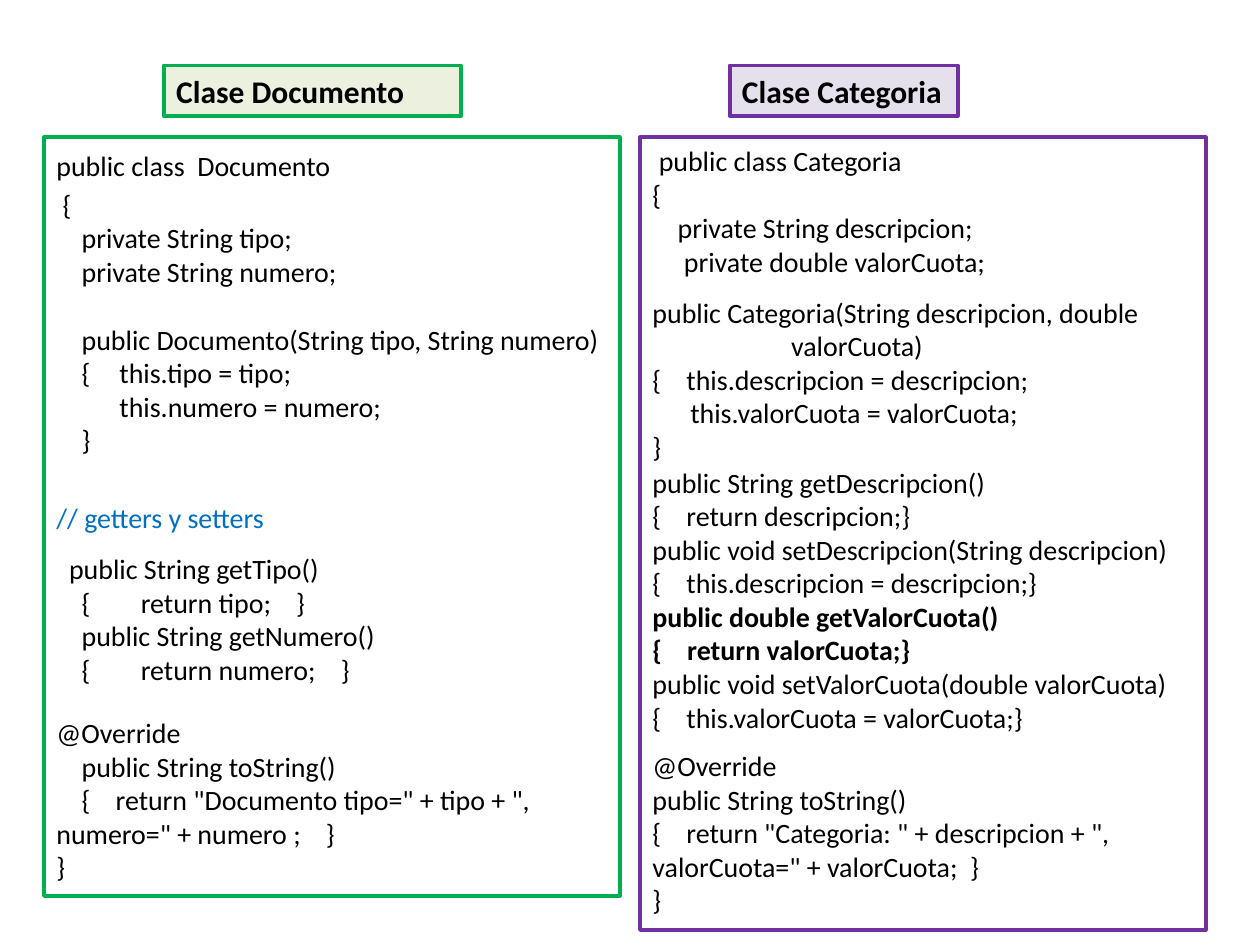
from pptx import Presentation
from pptx.dml.color import RGBColor
from pptx.enum import shapes, text
from pptx.util import Inches, Pt

BLACK = RGBColor(0x00, 0x00, 0x00)
BLUE = RGBColor(0x00, 0x70, 0xC0)
GREEN = RGBColor(0x00, 0xB0, 0x50)
PALE = RGBColor(0xEB, 0xF1, 0xDE)
PURPLE = RGBColor(0x70, 0x30, 0xA0)
LILAC = RGBColor(0xE6, 0xE0, 0xEC)

DOCUMENT = [
    ("""public class  Documento
 {""", {"line": 1.15}),
    ("""    private String tipo;
    private String numero;""", {}),
    ("""    public Documento(String tipo, String numero)
    {\tthis.tipo = tipo;
\tthis.numero = numero;
    }""", {"gap": 19.5}),
    ("// getters y setters", {"gap": 22.5, "line": 1.15, "color": BLUE}),
    ("""  public String getTipo()
    {        return tipo;    }
    public String getNumero()
    {        return numero;    }""", {"gap": 9.8}),
    ("""@Override
    public String toString()
    {    return "Documento tipo=" + tipo + ", numero=" + numero ;    }
}""", {"gap": 17}),
]

CATEGORY = [
    (""" public class Categoria
{
    private String descripcion;
     private double valorCuota;""", {}),
    ("""public Categoria(String descripcion, double
                      valorCuota)
{    this.descripcion = descripcion;
      this.valorCuota = valorCuota;
}""", {"gap": 9.8}),
    ("""public String getDescripcion()
{    return descripcion;}
public void setDescripcion(String descripcion)
{    this.descripcion = descripcion;}""", {"gap": 1.2}),
    ("""public double getValorCuota()
{    return valorCuota;}""", {"bold": True}),
    ("""public void setValorCuota(double valorCuota)
{    this.valorCuota = valorCuota;}""", {}),
    ("""@Override
public String toString()
{    return "Categoria: " + descripcion + ", valorCuota=" + valorCuota;  }
}""", {"gap": 8.5}),
]


def write(frame, words, size=16, color=BLACK, bold=False, gap=0, line=1.0):
    """Append each line of words as a paragraph, with the gap before the first."""
    for row, part in enumerate(words.split("\n")):
        para = frame.add_paragraph() if frame.text else frame.paragraphs[0]
        para.alignment = text.PP_ALIGN.LEFT
        para.line_spacing = line
        para.space_before = Pt(0 if row else gap)
        run = para.add_run()
        run.text = part
        run.font.name = "Calibri"
        run.font.size = Pt(size)
        run.font.bold = bold
        run.font.color.rgb = color


def panel(slide, box, edge, fill=None):
    """Draw an outlined rectangle and return its text frame."""
    shape = slide.shapes.add_shape(
        shapes.MSO_SHAPE.RECTANGLE, *(Inches(side) for side in box))
    shape.shadow.inherit = False
    if fill is None:
        shape.fill.background()
    else:
        shape.fill.solid()
        shape.fill.fore_color.rgb = fill
    shape.line.color.rgb = edge
    shape.line.width = Pt(2.25)
    frame = shape.text_frame
    frame.word_wrap = True
    frame.vertical_anchor = text.MSO_ANCHOR.TOP
    return frame


def heading(slide, box, name, edge, fill):
    """Place the filled label that names a class."""
    write(panel(slide, box, edge, fill), name, size=18, bold=True)


def listing(slide, box, blocks, edge):
    """Place the code of a class in its frame."""
    frame = panel(slide, box, edge)
    for words, style in blocks:
        write(frame, words, **style)


def main():
    """Build the slide and save it."""
    deck = Presentation()
    deck.slide_width, deck.slide_height = Inches(10), Inches(7.5)
    slide = deck.slides.add_slide(deck.slide_layouts[6])
    heading(slide, (1.3, 0.52, 2.36, 0.4), "Clase Documento", GREEN, PALE)
    listing(slide, (0.35, 1.09, 4.57, 6.02), DOCUMENT, GREEN)
    listing(slide, (5.08, 1.09, 4.49, 6.29), CATEGORY, PURPLE)
    heading(slide, (5.79, 0.52, 1.81, 0.4), "Clase Categoria", PURPLE, LILAC)
    deck.save("out.pptx")


if __name__ == "__main__":
    main()
